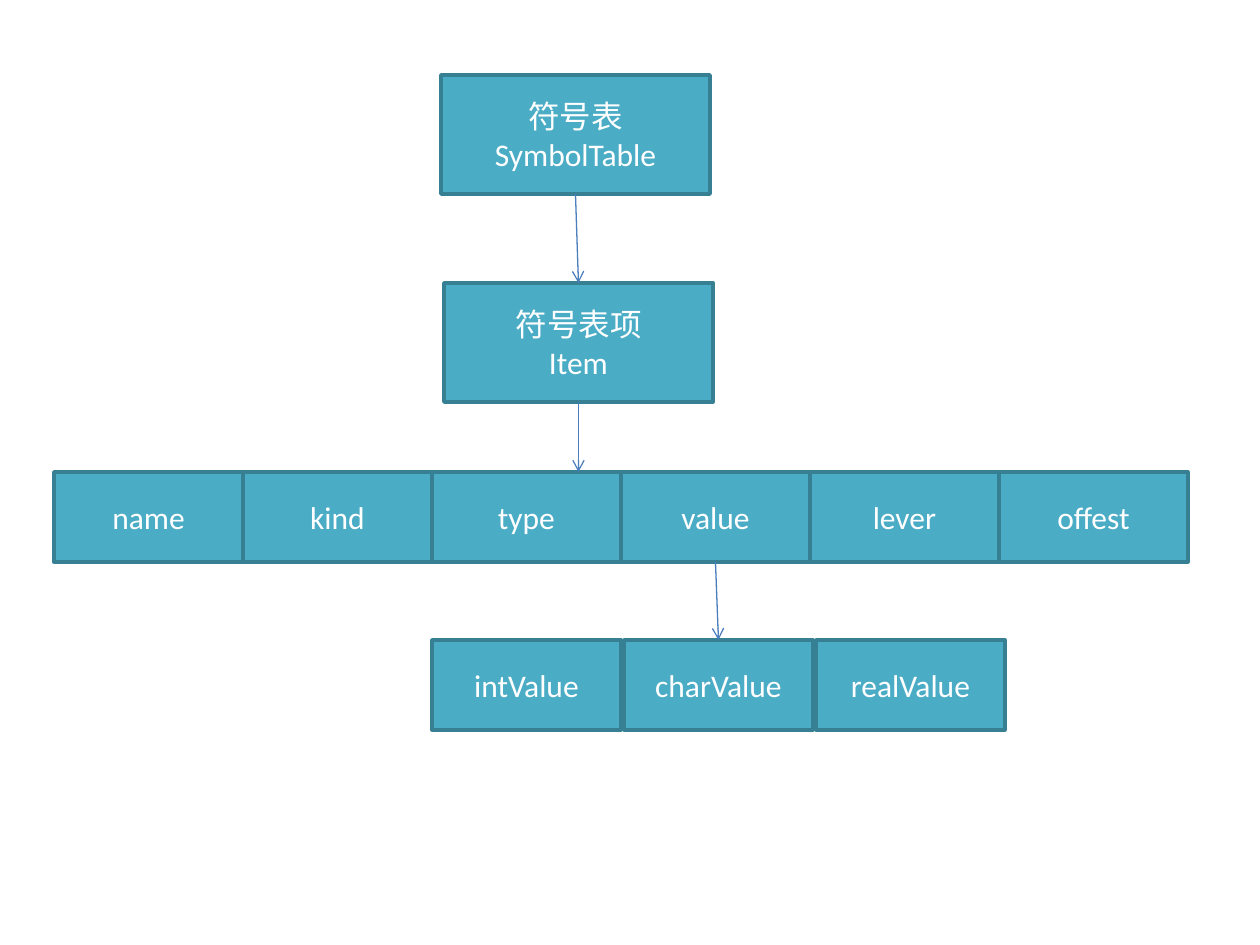
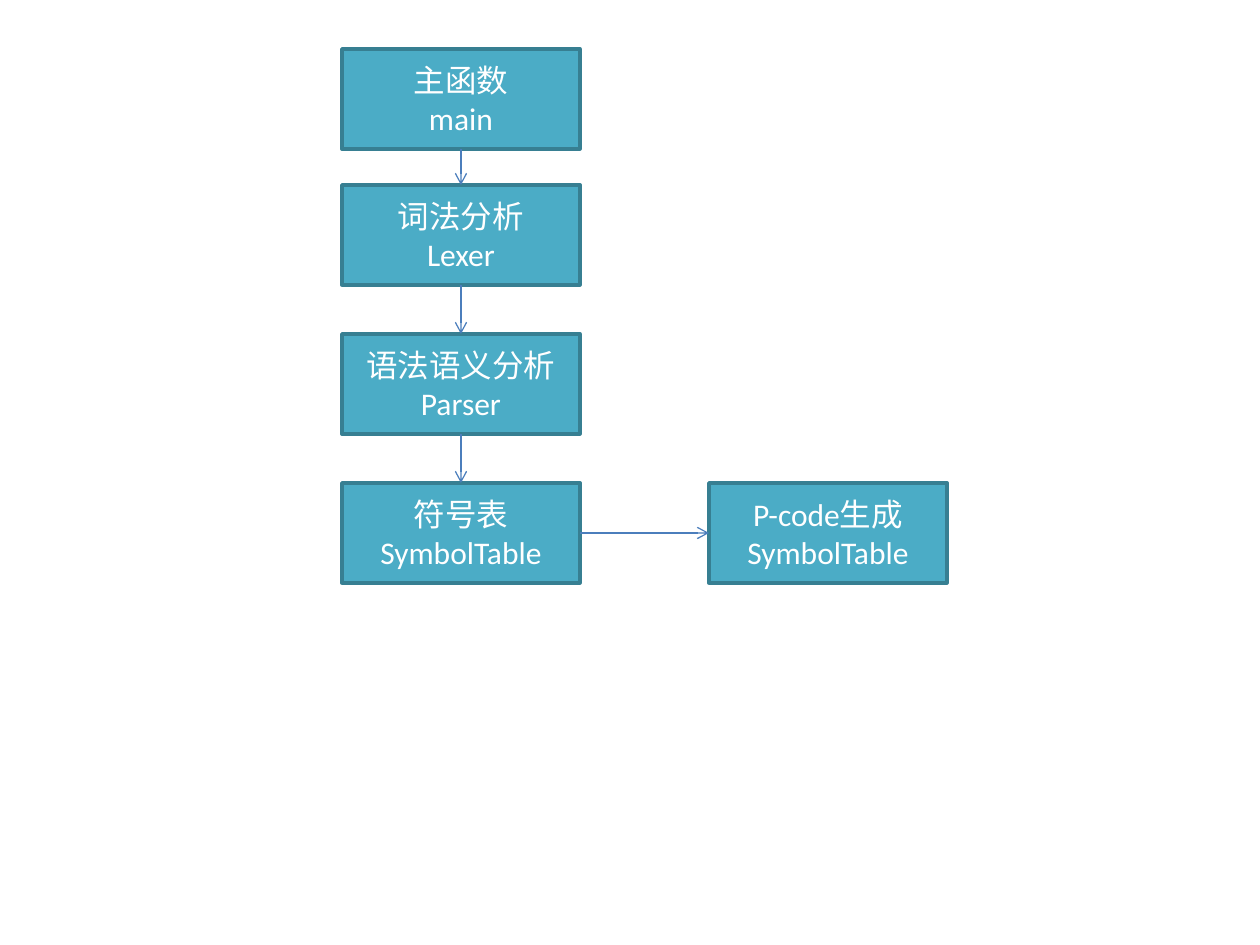
from itertools import pairwise

from pptx import Presentation
from pptx import util as u
from pptx.dml.color import RGBColor
from pptx.enum import shapes, text
from pptx.oxml.ns import qn
from lxml import etree

PIXEL = 914400 // 126
FONT, SIZE = "Calibri", 18
FILL, EDGE, INK, ARROW = "4BACC6", "377F92", "FFFFFF", "4B7EBC"
TOP, LEFT, BOTTOM, RIGHT = range(4)  # connection sites of a rectangle


def px(length):
    return u.Emu(round(length * PIXEL))


def colour(value):
    return RGBColor.from_string(value)


def add_node(page, left, top, width, height, *lines):
    """Add a labelled rectangle, one paragraph for each line."""
    node = page.shapes.add_shape(
        shapes.MSO_SHAPE.RECTANGLE, px(left), px(top), px(width), px(height))
    node.shadow.inherit = False
    node.fill.solid()
    node.fill.fore_color.rgb = colour(FILL)
    node.line.color.rgb = colour(EDGE)
    node.line.width = u.Pt(2)
    frame = node.text_frame
    frame.word_wrap = True
    frame.vertical_anchor = text.MSO_ANCHOR.MIDDLE
    frame.text = "\n".join(lines)
    for paragraph in frame.paragraphs:
        paragraph.alignment = text.PP_ALIGN.CENTER
        paragraph.font.name = FONT
        paragraph.font.size = u.Pt(SIZE)
        paragraph.font.color.rgb = colour(INK)
    return node


def add_row(page, left, top, pitch, labels):
    """Add a row of equal cells, spaced by the pitch."""
    return [add_node(page, left + i * pitch, top, 189, 90, label)
            for i, label in enumerate(labels)]


def add_arrow(page, source, target, leave=BOTTOM, enter=TOP, straight_down=False):
    """Link two nodes; straight_down ends at the target's top, below the source."""
    arrow = page.shapes.add_connector(shapes.MSO_CONNECTOR.STRAIGHT, 0, 0, 0, 0)
    arrow.begin_connect(source, leave)
    if straight_down:
        arrow.end_x, arrow.end_y = arrow.begin_x, target.top
    else:
        arrow.end_connect(target, enter)
    arrow.line.color.rgb = colour(ARROW)
    arrow.line.width = u.Pt(0.75)
    etree.SubElement(arrow.line._get_or_add_ln(), qn("a:tailEnd"), type="arrow")
    etree.SubElement(arrow._element.spPr, qn("a:effectLst"))


def symbol_table_structure(page, left, top):
    # Table and its item
    table = add_node(page, left + 387, top, 269, 119, "符号表", "SymbolTable")
    item = add_node(page, left + 390, top + 208, 269, 119, "符号表项", "Item")
    # Fields of an item, and the kinds of value
    fields = add_row(page, left, top + 397, 189,
                     ["name", "kind", "type", "value", "lever", "offest"])
    values = add_row(page, left + 378, top + 565, 192,
                     ["intValue", "charValue", "realValue"])
    # Links
    add_arrow(page, table, item)
    add_arrow(page, item, fields[2], straight_down=True)
    add_arrow(page, fields[3], values[1])


def compiler_flow(page, left, top):
    width, height = 238, 100
    # Stages from top to bottom
    stages = [add_node(page, left, top + offset, width, height, *lines)
              for offset, lines in [(0, ("主函数", "main")),
                                    (136, ("词法分析", "Lexer")),
                                    (285, ("语法语义分析", "Parser")),
                                    (434, ("符号表", "SymbolTable"))]]
    # Code generation beside the last stage
    generator = add_node(page, left + 367, top + 434, width, height,
                         "P-code生成SymbolTable")
    # Links
    for source, target in pairwise(stages):
        add_arrow(page, source, target)
    add_arrow(page, stages[-1], generator, RIGHT, LEFT)


deck = Presentation()
deck.slide_width, deck.slide_height = px(1260), px(945)
for build, left, top in [(symbol_table_structure, 54, 75),
                         (compiler_flow, 342, 49)]:
    build(deck.slides.add_slide(deck.slide_layouts[6]), left, top)
deck.save("out.pptx")
